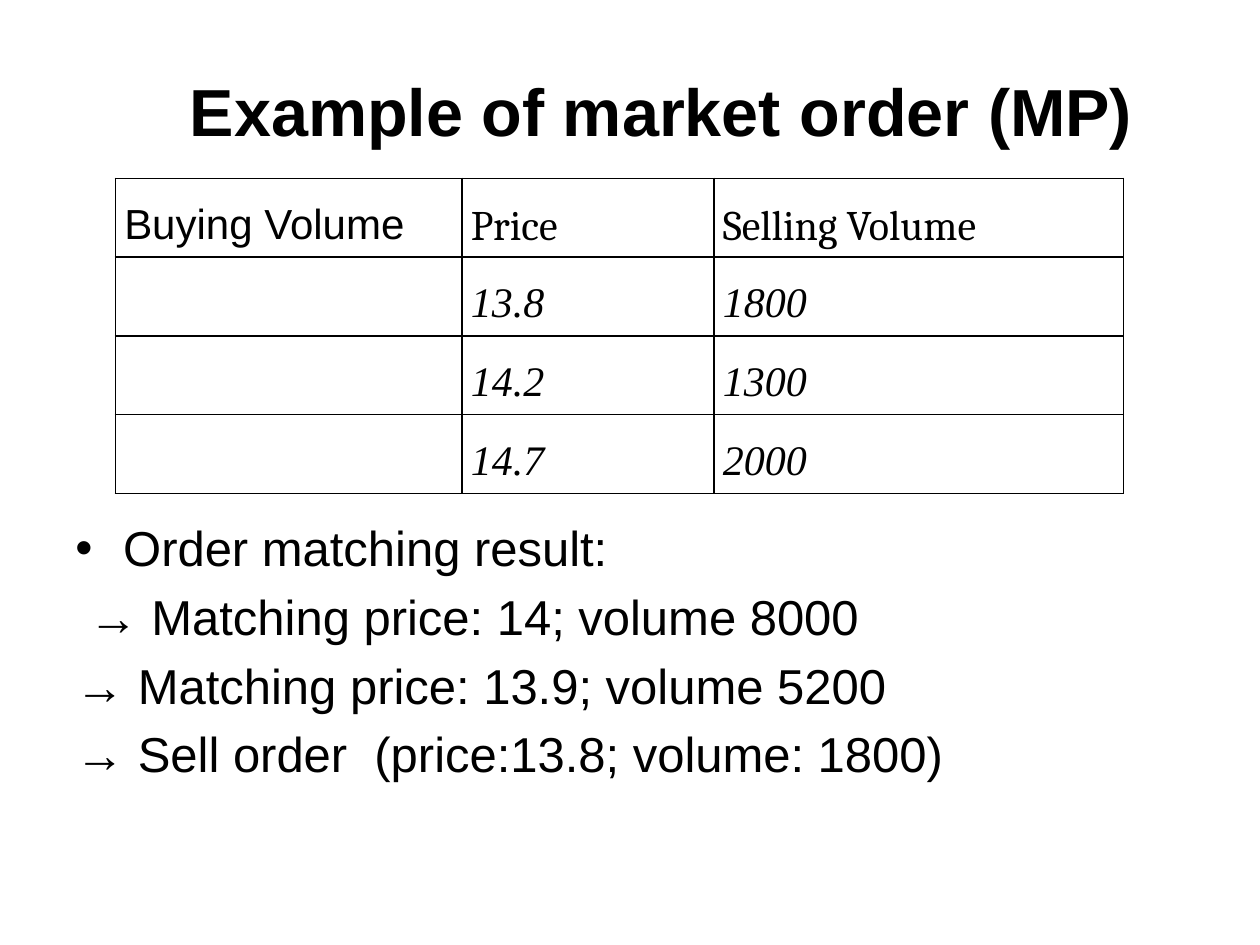
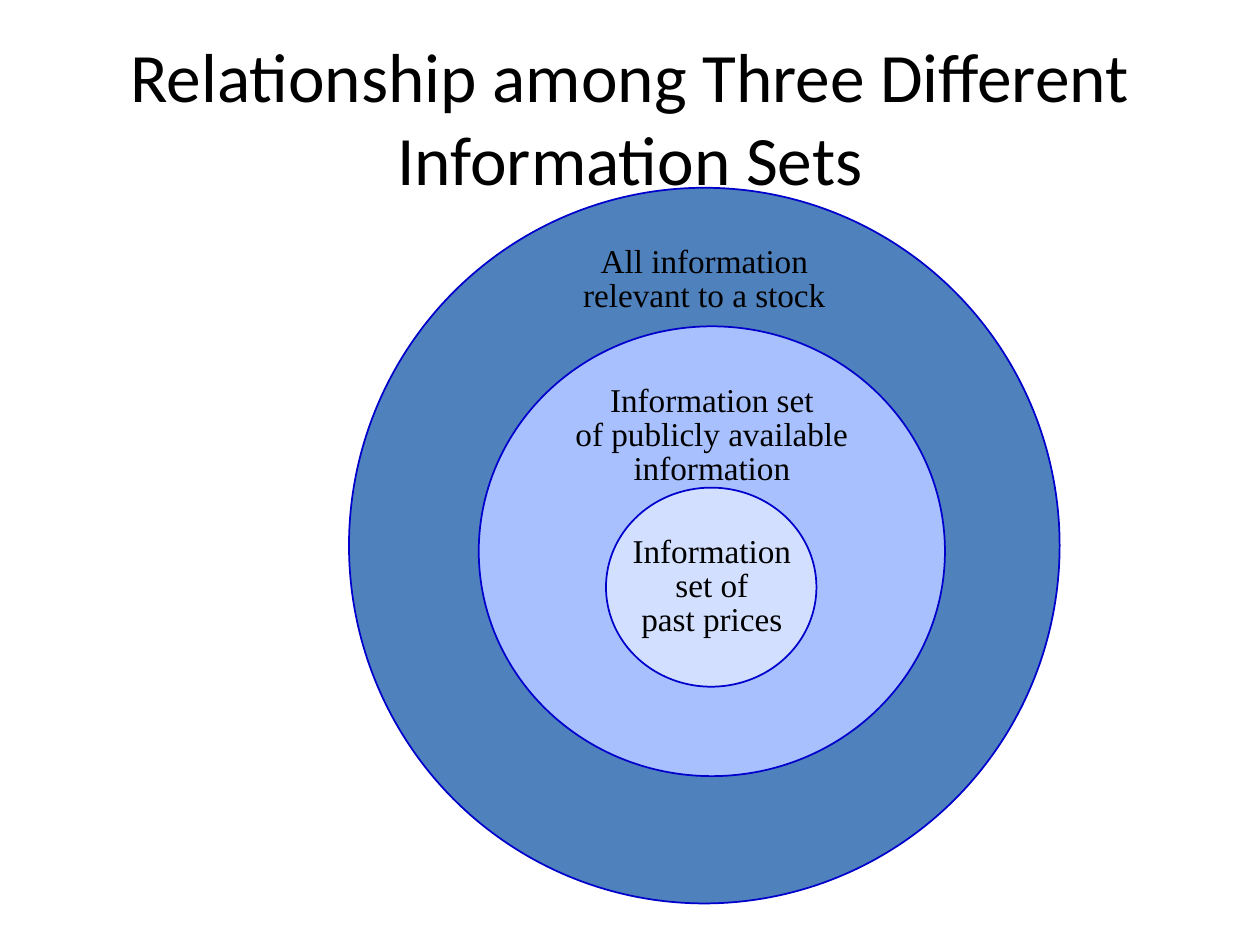
from dataclasses import dataclass

from lxml.etree import SubElement
from pptx import Presentation
from pptx.dml.color import RGBColor as RGB
from pptx.enum.shapes import MSO_SHAPE as SHAPE
from pptx.enum.text import MSO_ANCHOR as ANCHOR, MSO_AUTO_SIZE as AUTO_SIZE, PP_ALIGN as ALIGN
from pptx.oxml.ns import qn
from pptx.util import Inches, Pt

# Content
ORDER_TITLE = "Example of market order (MP)"
ORDER_HEADER = [("Buying Volume", "Arial"), ("Price", "Cambria"), ("Selling Volume", "Cambria")]
ORDERS = [("", "13.8", "1800"), ("", "14.2", "1300"), ("", "14.7", "2000")]
RESULT_HEADING = "Order matching result:"
RESULTS = [
    " → Matching price: 14; volume 8000",
    "→ Matching price: 13.9; volume 5200",
    "→ Sell order  (price:13.8; volume: 1800)",
]
SETS_TITLE = "Relationship among Three Different Information Sets"
# Ellipse box, label box, fill, label lines; outermost first
INFORMATION_SETS = [
    ((2.77, 1.49, 5.64, 5.68), (4.53, 1.91, 2.12, 0.64), "4F81BD",
     ["All information", "relevant to a stock"]),
    ((3.8, 2.59, 3.7, 3.57), (4.47, 3.01, 2.36, 0.91), "A8C1FE",
     ["Information set", "of publicly available", "information"]),
    ((4.81, 3.87, 1.67, 1.58), (4.92, 4.21, 1.46, 0.91), "D2DFFE",
     ["Information", "set of", "past prices"]),
]


@dataclass(frozen=True)
class Theme:
    ink: str = "000000"
    outline: str = "0000CC"
    body_font: str = "Arial"
    title_font: str = "Calibri"
    serif: str = "Times New Roman"
    order_title: float = 38
    sets_title: float = 39.6
    body: float = 28
    cell: float = 24
    label: float = 19


THEME = Theme()
SLIDE_W, SLIDE_H = 10, 7.5
# The table sits on a grid of twelfths of an inch
TABLE_LEFT, TABLE_TOP, TABLE_H = 11 / 12, 17 / 12, 2.5
COLUMNS = [2.75, 2, 3.25]
INDENT = 0.38


# Shared helpers
def box(*lengths):
    return [Inches(n) for n in lengths]


def add_run(p, text, size, font, bold=False, italic=False):
    r = p.add_run()
    r.text = text
    f = r.font
    f.size, f.name, f.bold, f.italic = Pt(size), font, bold, italic
    f.color.rgb = RGB.from_string(THEME.ink)


def add_text_frame(s, place):
    tf = s.shapes.add_textbox(*box(*place)).text_frame
    tf.word_wrap = True
    return tf


def add_title(s, text, place, size, font, bold=False):
    tf = add_text_frame(s, place)
    tf.vertical_anchor = ANCHOR.MIDDLE
    p = tf.paragraphs[0]
    p.alignment = ALIGN.CENTER
    add_run(p, text, size, font, bold)


def set_borders(cell):
    tc_pr = cell._tc.get_or_add_tcPr()
    for side in ("lnL", "lnR", "lnT", "lnB"):
        ln = SubElement(tc_pr, qn(f"a:{side}"), w=str(Pt(1)))
        fill = SubElement(ln, qn("a:solidFill"))
        SubElement(fill, qn("a:srgbClr"), val=THEME.ink)


def add_order_table(s):
    rows = [[(text, font, False) for text, font in ORDER_HEADER]]
    rows += [[(text, THEME.serif, True) for text in order] for order in ORDERS]
    table = s.shapes.add_table(
        len(rows), len(COLUMNS), *box(TABLE_LEFT, TABLE_TOP, sum(COLUMNS), TABLE_H)).table
    table.first_row = table.horz_banding = False
    for column, width in zip(table.columns, COLUMNS):
        column.width = Inches(width)
    for i, row in enumerate(rows):
        for j, (text, font, italic) in enumerate(row):
            cell = table.cell(i, j)
            set_borders(cell)
            cell.fill.background()
            cell.margin_left = cell.margin_right = Inches(0.07)
            cell.margin_top = cell.margin_bottom = 0
            if text:
                p = cell.text_frame.paragraphs[0]
                p.line_spacing = 1.5
                add_run(p, text, THEME.cell, font, italic=italic)


def add_results(s):
    tf = add_text_frame(s, (0.5, 4.06, 9, 2.85))
    for i, text in enumerate([RESULT_HEADING, *RESULTS]):
        p = tf.add_paragraph() if i else tf.paragraphs[0]
        p.space_before = Pt(0.2 * THEME.body if i else 0)
        p_pr = p._p.get_or_add_pPr()
        p_pr.set("marL", str(Inches(INDENT)))
        p_pr.set("indent", str(-Inches(INDENT)))
        if i:
            SubElement(p_pr, qn("a:buNone"))
        else:
            SubElement(p_pr, qn("a:buFont"), typeface=THEME.body_font)
            SubElement(p_pr, qn("a:buChar"), char="•")
        add_run(p, text, THEME.body, THEME.body_font)


def add_information_set(s, place, label_place, color, lines):
    sp = s.shapes.add_shape(SHAPE.OVAL, *box(*place))
    sp.shadow.inherit = False
    sp.fill.solid()
    sp.fill.fore_color.rgb = RGB.from_string(color)
    sp.line.color.rgb = RGB.from_string(THEME.outline)
    sp.line.width = Pt(1)

    # The label keeps its own line breaks, with the full box width free for text
    tf = add_text_frame(s, label_place)
    tf.word_wrap = False
    tf.auto_size = AUTO_SIZE.SHAPE_TO_FIT_TEXT
    tf.margin_left = tf.margin_right = 0
    p = tf.paragraphs[0]
    p.alignment = ALIGN.CENTER
    p.line_spacing = 0.85
    for i, line in enumerate(lines):
        if i:
            p.add_line_break()
        add_run(p, line, THEME.label, THEME.serif)


def main():
    prs = Presentation()
    prs.slide_width, prs.slide_height = box(SLIDE_W, SLIDE_H)
    blank = prs.slide_layouts[6]

    # Market order example
    s = prs.slides.add_slide(blank)
    add_title(s, ORDER_TITLE, (0.5, 0.25, 9.5, 1.25), THEME.order_title, THEME.body_font, bold=True)
    add_order_table(s)
    add_results(s)

    # Nested information sets
    s = prs.slides.add_slide(blank)
    add_title(s, SETS_TITLE, (0.5, 0.3, 9, 1.25), THEME.sets_title, THEME.title_font)
    for information_set in INFORMATION_SETS:
        add_information_set(s, *information_set)

    prs.save("out.pptx")


if __name__ == "__main__":
    main()
